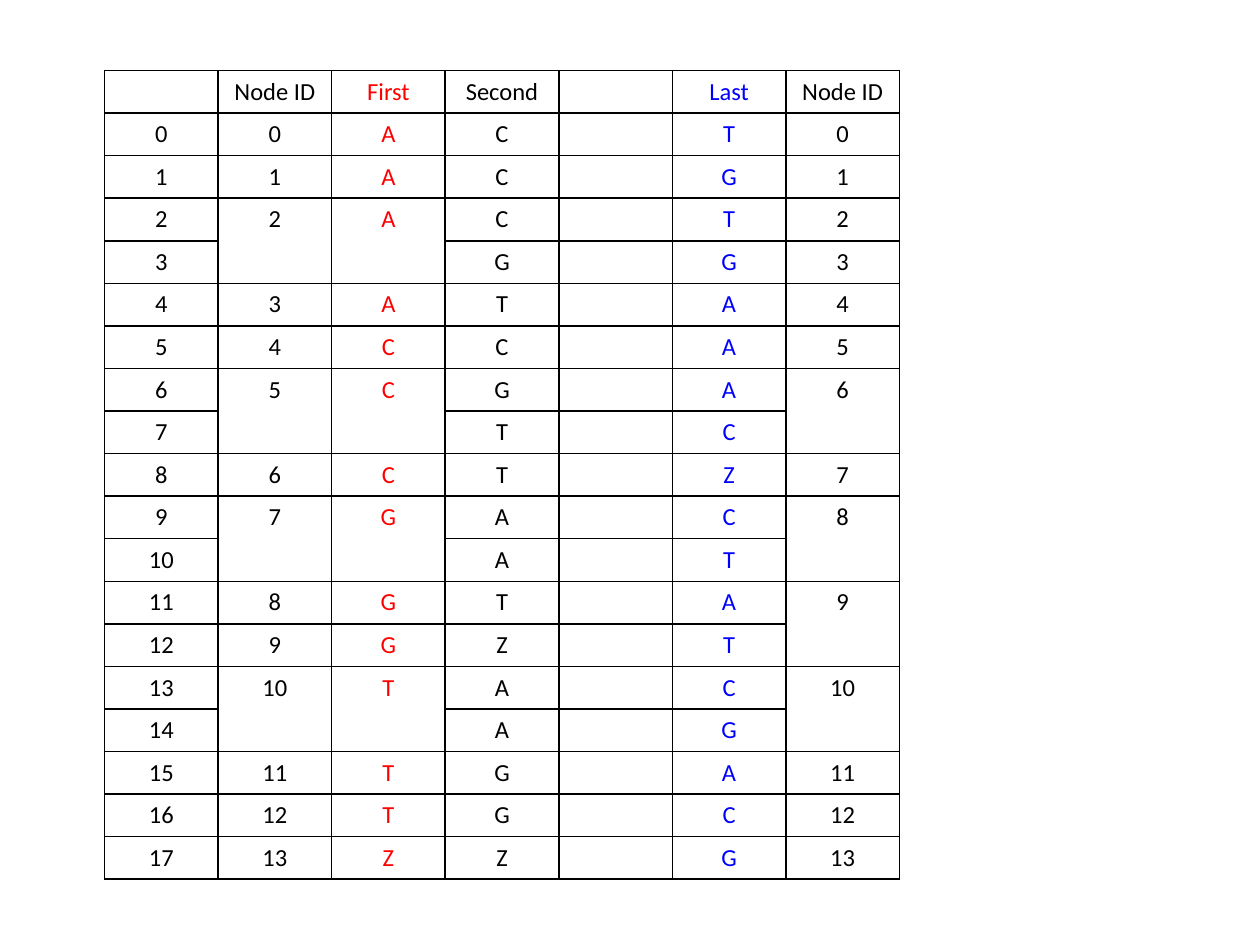
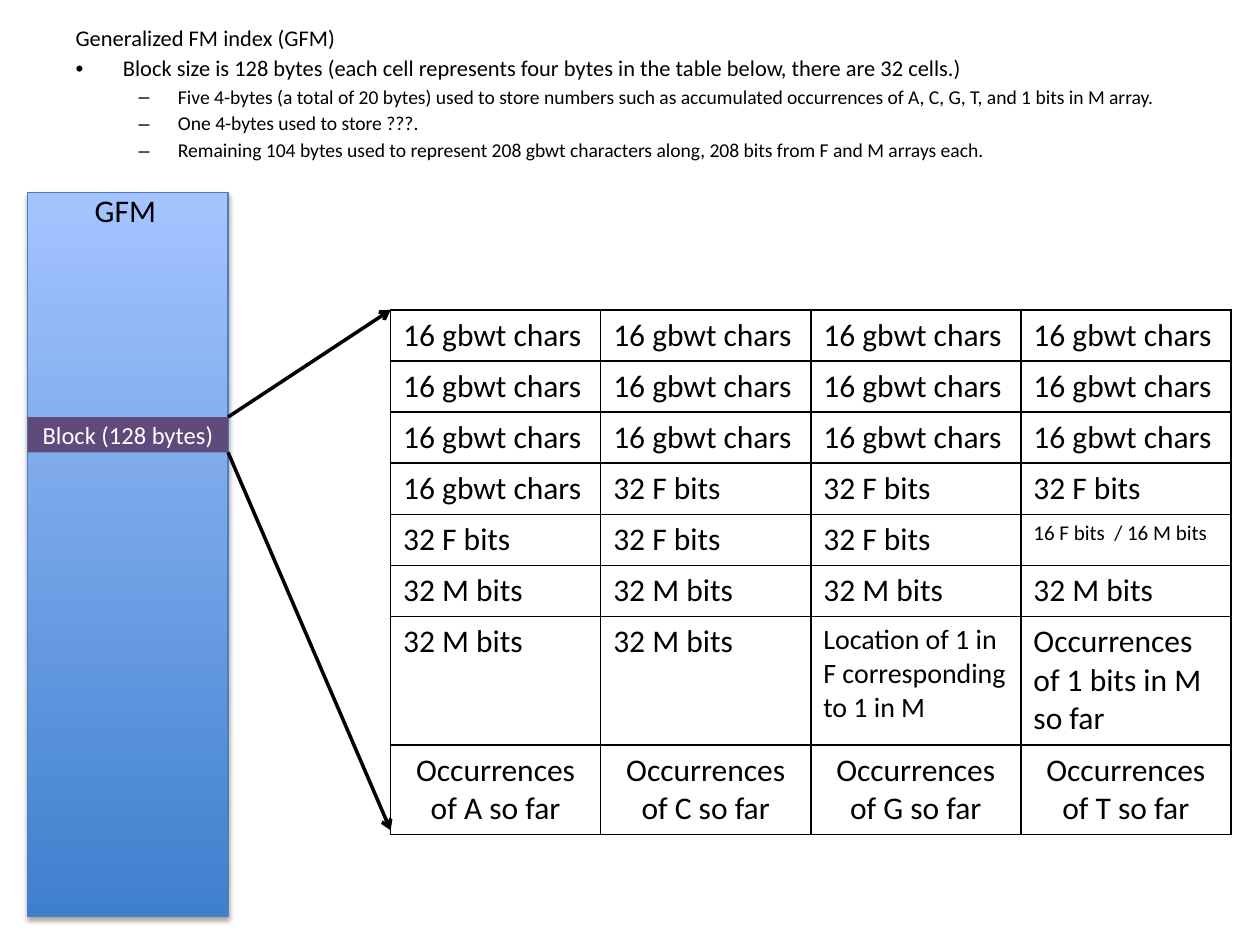
from dataclasses import dataclass
from typing import Optional

from lxml.etree import SubElement
from pptx import Presentation
from pptx.dml.color import RGBColor
from pptx.enum.shapes import MSO_CONNECTOR as CONN, MSO_SHAPE as SHAPE
from pptx.enum.text import MSO_ANCHOR as ANCHOR, MSO_AUTO_SIZE as AUTOSIZE, PP_ALIGN as ALIGN
from pptx.oxml import parse_xml
from pptx.oxml.ns import nsdecls, qn
from pptx.util import Inches, Pt

FONT = "Calibri"
COLORS = {
    "black": "000000",
    "white": "FFFFFF",
    "first": "FF0000",
    "last": "0000FF",
    "block": "604A7B",
    "bar_dark": "3F80CE",
    "bar_light": "A4C4FF",
    "bar_line": "4B7EBC",
}


@dataclass
class Box:
    left: float
    top: float
    width: float
    height: float

    @property
    def right(self) -> float:
        return self.left + self.width

    @property
    def bottom(self) -> float:
        return self.top + self.height

    def emu(self) -> tuple:
        return tuple(Inches(v) for v in (self.left, self.top, self.width, self.height))


@dataclass
class Cell:
    text: str = ""
    size: float = 18
    color: str = "black"
    align: Optional[ALIGN] = None
    merged: bool = False


@dataclass
class Point:
    text: str
    size: float
    level: int = 0
    bullet: bool = True


def rgb(name: str) -> RGBColor:
    return RGBColor.from_string(COLORS[name])


def write(p, text: str, size: float = 18, color: str = "black", align=None) -> None:
    p.alignment = align
    if not text:
        SubElement(p._p, qn("a:endParaRPr"), sz=str(int(size * 100)))
        return
    r = p.add_run()
    r.text = text
    r.font.name = FONT
    r.font.size = Pt(size)
    r.font.bold = False
    r.font.color.rgb = rgb(color)


def add_borders(cell, color: str = "black", width: float = 1) -> None:
    tc_pr = cell._tc.get_or_add_tcPr()
    for i, side in enumerate("LRTB"):
        tc_pr.insert(i, parse_xml(
            f'<a:ln{side} {nsdecls("a")} w="{Pt(width)}"><a:solidFill>'
            f'<a:srgbClr val="{COLORS[color]}"/></a:solidFill></a:ln{side}>'))


def draw_table(slide, box: Box, rows: list[list[Cell]], heights: list[float]) -> None:
    n_cols = len(rows[0])
    table = slide.shapes.add_table(len(rows), n_cols, *box.emu()).table
    table.first_row = table.horz_banding = False
    for col in table.columns:
        col.width = Inches(box.width / n_cols)
    for i, (row, height) in enumerate(zip(rows, heights)):
        table.rows[i].height = Inches(height)
        for j, data in enumerate(row):
            cell = table.cell(i, j)
            cell.fill.background()
            add_borders(cell)
            write(cell.text_frame.paragraphs[0], data.text, size=data.size,
                  color=data.color, align=data.align)
            if data.merged:
                table.cell(i - 1, j).merge(cell)


def draw_rect(slide, box: Box):
    sp = slide.shapes.add_shape(SHAPE.RECTANGLE, *box.emu())
    sp.shadow.inherit = False
    return sp


def draw_arrow(slide, start: tuple[float, float], end: tuple[float, float]) -> None:
    line = slide.shapes.add_connector(CONN.STRAIGHT, *(Inches(v) for v in start + end))
    line.line.color.rgb = rgb("black")
    line.line.width = Pt(2)
    SubElement(line.line._get_or_add_ln(), qn("a:tailEnd"), type="arrow")
    SubElement(line._element.spPr, qn("a:effectLst"))


def draw_points(body, box: Box, points: list[Point]) -> None:
    body.left, body.top, body.width, body.height = box.emu()
    tf = body.text_frame
    tf.auto_size = AUTOSIZE.NONE
    for i, point in enumerate(points):
        p = tf.add_paragraph() if i else tf.paragraphs[0]
        p.level = point.level
        p.line_spacing = 0.97
        if not point.bullet:
            p_pr = p._p.get_or_add_pPr()
            p_pr.set("marL", "0")
            p_pr.set("indent", "0")
            SubElement(p_pr, qn("a:buNone"))
        write(p, point.text, size=point.size)


def draw_bar(slide, box: Box) -> None:
    sp = draw_rect(slide, box)
    sp.fill.gradient()
    sp.fill.gradient_angle = 90
    for stop, color in zip(sp.fill.gradient_stops, ("bar_dark", "bar_light")):
        stop.color.rgb = rgb(color)
    sp.line.color.rgb = rgb("bar_line")
    sp.line.width = Pt(0.75)
    sp._element.spPr.find(qn("a:effectLst")).append(parse_xml(
        f'<a:outerShdw {nsdecls("a")} blurRad="{Pt(3.1)}" dist="{Pt(1.8)}" '
        f'dir="5400000" rotWithShape="0"><a:srgbClr val="{COLORS["black"]}">'
        '<a:alpha val="35000"/></a:srgbClr></a:outerShdw>'))


def node_ids(column: str) -> list[str]:
    count = 0
    ids = []
    for mark in column:
        ids.append("" if mark == "." else str(count))
        count += mark != "."
    return ids


def node_slide(prs) -> None:
    slide = prs.slides.add_slide(prs.slide_layouts[6])
    first = "AAA.ACC.CG.GGT.TTZ"
    second = "CCCGTCGTTAATZAAGGZ"
    last = "TGTGAAACZCTATCGACG"
    last_nodes = "xxxxxxx.xx.x.x.xxx"
    columns = [
        ("", [str(i) for i in range(len(first))], "black", ""),
        ("Node ID", node_ids(first), "black", first),
        ("First", first.replace(".", " "), "first", first),
        ("Second", second, "black", ""),
        ("", [""] * len(first), "black", ""),
        ("Last", last, "last", ""),
        ("Node ID", node_ids(last_nodes), "black", last_nodes),
    ]
    rows = [[Cell(head, 14, color, ALIGN.CENTER) for head, _, color, _ in columns]]
    for i in range(len(first)):
        rows.append([
            Cell(values[i].strip(), 14, color, ALIGN.CENTER, marks[i:i + 1] == ".")
            for _, values, color, marks in columns])
    box = Box(0.83, 0.56, 6.31, 6.42)
    draw_table(slide, box, rows, [box.height / len(rows)] * len(rows))


def block_slide(prs) -> None:
    slide = prs.slides.add_slide(prs.slide_layouts[1])
    title = slide.shapes.title._element
    title.getparent().remove(title)

    draw_points(slide.placeholders[1], Box(0.5, 0.15, 9, 1.25), [
        Point("Generalized FM index (GFM)", 12.8, bullet=False),
        Point("Block size is 128 bytes (each cell represents four bytes in the table "
              "below, there are 32 cells.)", 12.8),
        Point("Five 4-bytes (a total of 20 bytes) used to store numbers such as accumulated "
              "occurrences of A, C, G, T, and 1 bits in M array.", 11.2, 1),
        Point("One 4-bytes used to store ???.", 11.2, 1),
        Point("Remaining 104 bytes used to represent 208 gbwt characters along, 208 bits "
              "from F and M arrays each. ", 11.2, 1),
    ])

    cells = [Cell("16 gbwt chars") for _ in range(13)]
    cells += [Cell("32 F bits") for _ in range(6)]
    cells.append(Cell("16 F bits  / 16 M bits", 12))
    cells += [Cell("32 M bits") for _ in range(6)]
    cells.append(Cell("Location of 1 in F corresponding to 1 in M", 16))
    cells.append(Cell("Occurrences of 1 bits in M so far"))
    cells += [Cell(f"Occurrences of {base} so far", align=ALIGN.CENTER) for base in "ACGT"]
    table = Box(3.1, 2.46, 6.67, 4.13)
    rows = [cells[i:i + 4] for i in range(0, len(cells), 4)]
    draw_table(slide, table, rows, [0.4] * 6 + [1.02, 0.71])

    bar = Box(0.22, 1.53, 1.59, 5.74)
    block = Box(bar.left, 3.31, bar.width, 0.28)
    draw_bar(slide, bar)
    sp = draw_rect(slide, block)
    sp.fill.solid()
    sp.fill.fore_color.rgb = rgb("block")
    sp.line.fill.background()
    tf = sp.text_frame
    tf.vertical_anchor = ANCHOR.MIDDLE
    write(tf.paragraphs[0], "Block (128 bytes)", size=14, color="white", align=ALIGN.CENTER)

    draw_arrow(slide, (block.right, block.top), (table.left, table.top))
    draw_arrow(slide, (block.right, block.bottom), (table.left, table.bottom))

    tf = slide.shapes.add_textbox(*Box(0.37, 1.47, 1.25, 0.4).emu()).text_frame
    tf.word_wrap = True
    tf.auto_size = AUTOSIZE.SHAPE_TO_FIT_TEXT
    write(tf.paragraphs[0], "GFM", align=ALIGN.CENTER)


def main() -> None:
    prs = Presentation()
    prs.slide_width, prs.slide_height = Inches(10), Inches(7.5)
    node_slide(prs)
    block_slide(prs)
    prs.save("out.pptx")


main()
